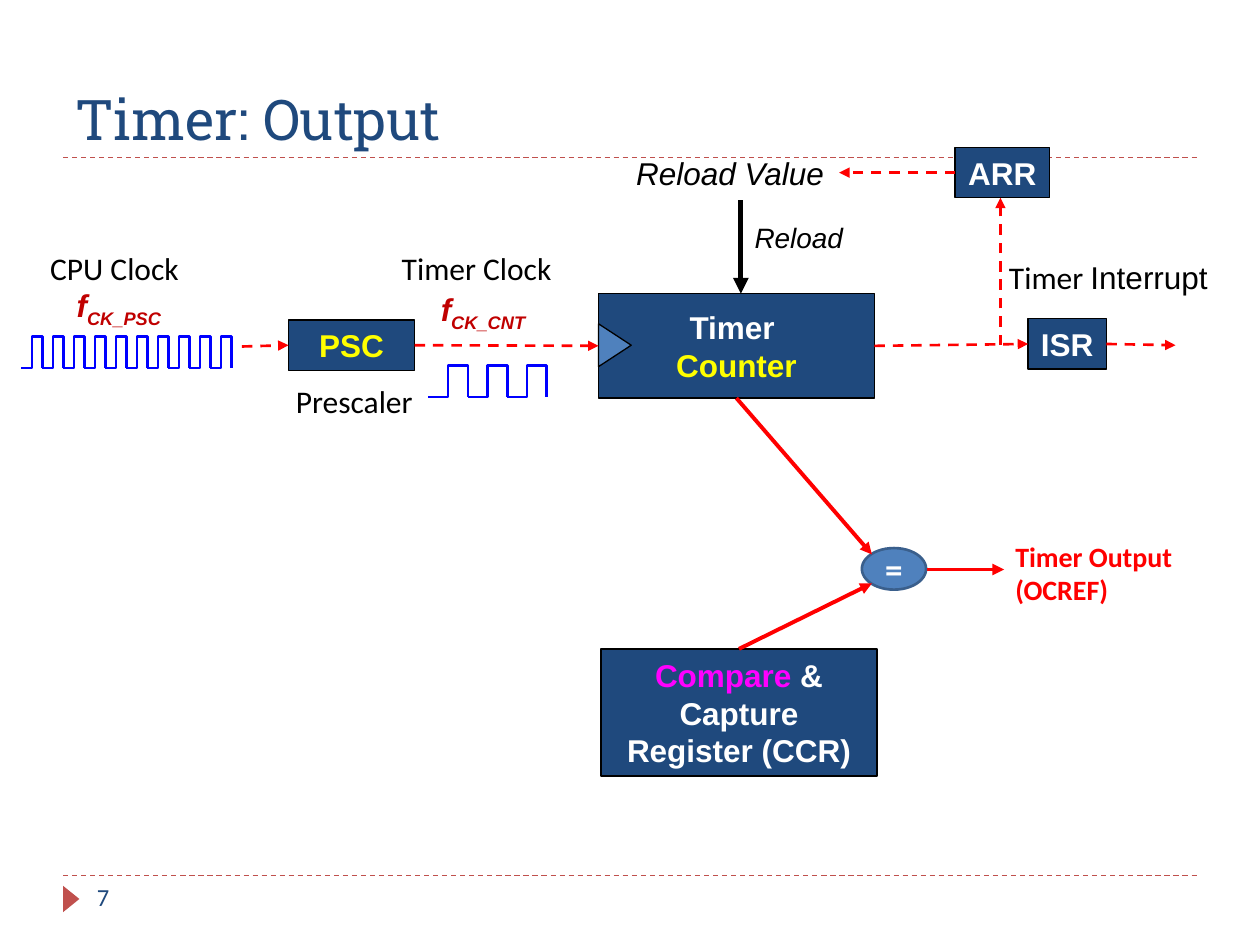
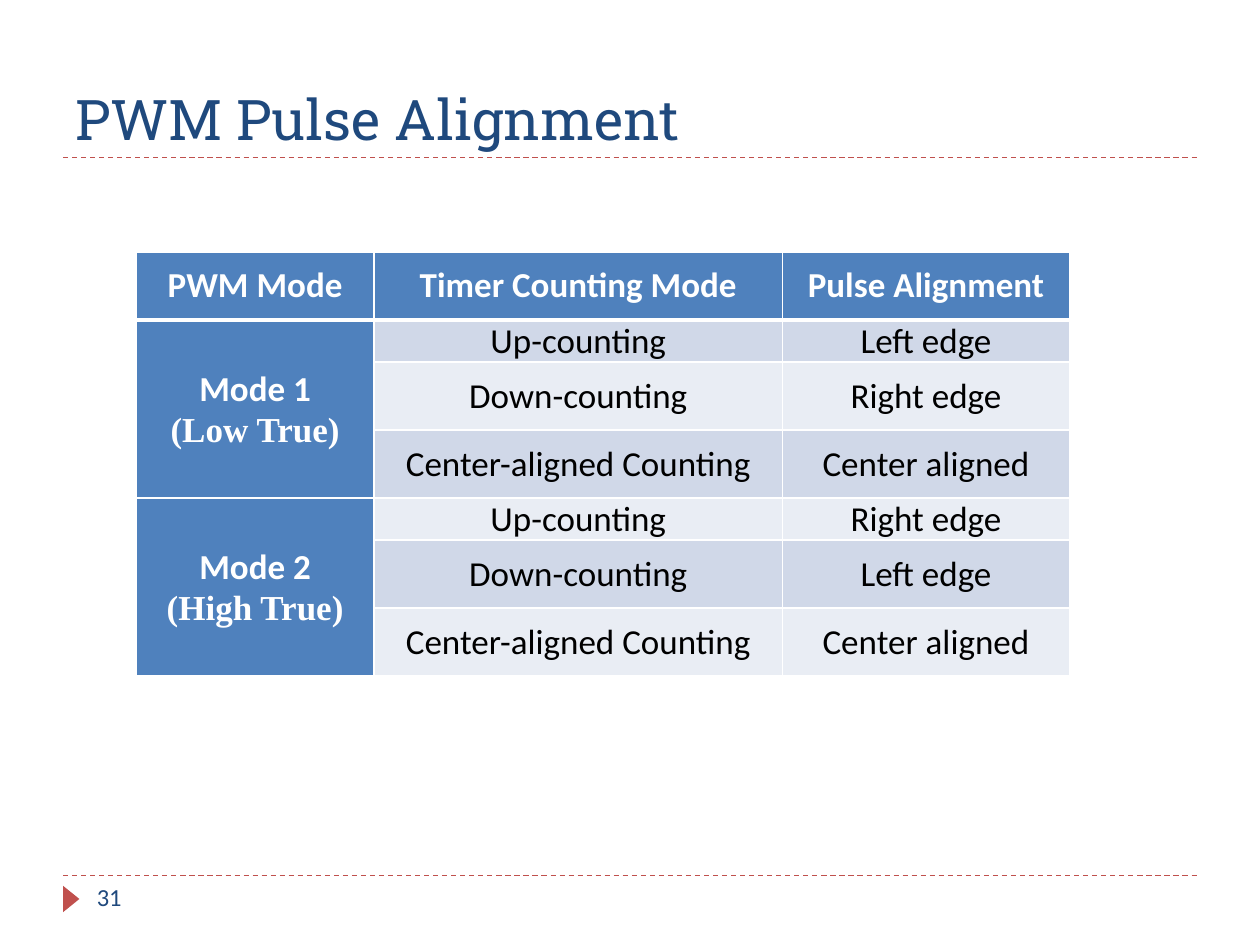
import pptx
import pptx.util
import pptx.dml.color
import pptx.enum.dml
import pptx.enum.shapes
import pptx.enum.text
import pptx.oxml
import pptx.oxml.ns
import lxml.etree
from dataclasses import dataclass

SHAPE = pptx.enum.shapes.MSO_SHAPE
ALIGN = pptx.enum.text.PP_ALIGN
ANCHOR = pptx.enum.text.MSO_ANCHOR
Pt = pptx.util.Pt
qn = pptx.oxml.ns.qn


@dataclass
class Theme:
    navy: str = "1F497D"
    blue: str = "4F81BD"
    edge: str = "3A5F8C"
    brick: str = "C0504D"
    wine: str = "C00000"
    red: str = "FF0000"
    wave: str = "0000FF"
    yellow: str = "FFFF00"
    pink: str = "FF00FF"
    black: str = "000000"
    white: str = "FFFFFF"
    bands: tuple = ("D0D8E8", "E9EDF4")
    head: str = "Roboto Slab"
    body: str = "Calibri"
    sans: str = "Arial"
    serif: str = "Times New Roman"
    title: int = 32
    cell: int = 20
    text: int = 18
    small: int = 16
    page: int = 14


T = Theme()

# Type styles: font, size, colour, bold, italic
TITLE = (T.head, T.title, T.navy, False, False)
PAGE = (T.body, T.page, T.navy, False, False)
PLAIN = (T.body, T.text, T.black, False, False)
SLANT = (T.sans, T.text, T.black, False, True)
NOTE = (T.sans, T.small, T.black, False, True)
FREQ = (T.sans, T.text, T.wine, True, True)
BLOCK = (T.sans, T.text, T.white, True, False)
SIGN = (T.body, T.cell, T.white, True, False)
OUT = (T.body, T.small, T.red, True, False)
HEAD = (T.body, T.cell, T.white, True, False)
SERIF = (T.serif, T.cell, T.white, True, False)
CELL = (T.body, T.cell, T.black, False, False)

# Grid: ten columns across, seven and a half rows down
COLS, ROWS = 10, 7.5
UNIT = pptx.util.Inches(1)

# Slide content: a paragraph is a list of (text, run changes)
TIMER = "Timer: Output"
BLOCKS = {
    "psc": ((2.29, 2.54, 1, 0.4), [[("PSC", {"color": T.yellow})]]),
    "counter": ((4.75, 2.33, 2.19, 0.83),
                [[("Timer ", {})], [("Counter", {"color": T.yellow})]]),
    "arr": ((7.58, 1.17, 0.75, 0.4), [[("ARR", {})]]),
    "isr": ((8.16, 2.53, 0.62, 0.4), [[("ISR", {})]]),
    "ccr": ((4.77, 5.15, 2.19, 1.01),
            [[("Compare", {"color": T.pink}), (" & Capture Register (CCR)", {})]]),
}
EQUAL = (6.84, 4.35, 0.51, 0.33)
NOTCH = (4.71, 2.61, 0.34, 0.26)
LABELS = [
    ((4.95, 1.17, 1.71, 0.4), SLANT, [[("Reload Value", {})]]),
    ((5.89, 1.7, 1.05, 0.37), NOTE, [[("Reload", {})]]),
    ((0.3, 1.93, 1.36, 0.4), PLAIN, [[("CPU Clock", {})]]),
    ((3.09, 1.93, 1.5, 0.4), PLAIN, [[("Timer Clock", {})]]),
    ((2.25, 2.98, 1.14, 0.4), PLAIN, [[("Prescaler", {})]]),
    ((7.91, 2, 1.84, 0.4), PLAIN, [[("Timer ", {}), ("Interrupt", {"font": T.sans})]]),
    ((0.51, 2.22, 0.97, 0.4), FREQ, [[("f", {}), ("CK_PSC", {"sub": True})]]),
    ((3.4, 2.25, 0.97, 0.4), FREQ, [[("f", {}), ("CK_CNT", {"sub": True})]]),
    ((7.96, 4.23, 1.78, 0.64), OUT, [[("Timer Output", {})], [("(OCREF)", {})]]),
]
# Arrow ends are grid points or the middle of a block's side
SIGNAL = (T.red, 1.5, True)
MATCH = (T.red, 2.25, False)
ARROWS = [
    ((1.92, 2.75), "psc left", SIGNAL),
    ("psc right", "counter left", SIGNAL),
    ("counter right", "isr left", SIGNAL),
    ("isr right", (9.33, 2.74), SIGNAL),
    ((7.94, 2.74), (7.94, 1.57), SIGNAL),
    ("arr left", (6.66, 1.37), SIGNAL),
    ((5.88, 1.59), (5.88, 2.33), (T.black, 3, False)),
    ("ccr top", (6.92, 4.63), MATCH),
    ("counter base", (6.92, 4.4), MATCH),
    ((7.36, 4.52), (7.97, 4.52), MATCH),
]
# Pulse trains: left, top, period, height, count
WAVES = [(0.17, 2.67, 1 / 6, 0.25, 10), (3.4, 2.9, 0.94 / 3, 0.25, 3)]

ALIGNED = "PWM Pulse Alignment"
HEADS = ["PWM Mode", "Timer Counting Mode", "Pulse Alignment"]
MODES = [
    ("Mode 1", "(Low True)", ["Left edge", "Right edge", "Center aligned"]),
    ("Mode 2", "(High True)", ["Right edge", "Left edge", "Center aligned"]),
]
COUNTS = ["Up-counting", "Down-counting", "Center-aligned Counting"]
WIDTHS = [1.89, 3.24, 2.28]
HIGH, LOW = 0.54, 0.27


def emu(*nums):
    return [round(n * UNIT) for n in nums]


def rgb(code):
    return pptx.dml.color.RGBColor.from_string(code)


def write(frame, paras, style, align=ALIGN.LEFT):
    face, size, color, bold, slant = style
    for i, runs in enumerate(paras):
        para = frame.paragraphs[0] if i == 0 else frame.add_paragraph()
        para.alignment = align
        font = para.font
        font.name, font.size = face, Pt(size)
        font.bold, font.italic = bold, slant
        if not any("color" in change for _, change in runs):
            font.color.rgb = rgb(color)
        mixed = any("color" in change for _, change in runs)
        for text, change in runs:
            run = para.add_run()
            run.text = text
            if mixed:
                run.font.color.rgb = rgb(change.get("color", color))
            if "font" in change:
                run.font.name = change["font"]
            if "sub" in change:
                run._r.get_or_add_rPr().set("baseline", "-25000")


def label(slide, box, paras, style, wrap=True, anchor=ANCHOR.TOP):
    frame = slide.shapes.add_textbox(*emu(*box)).text_frame
    frame.word_wrap, frame.vertical_anchor = wrap, anchor
    write(frame, paras, style)


def solid(slide, kind, box, fill, line=None, width=0.75, turn=0):
    shape = slide.shapes.add_shape(kind, *emu(*box))
    shape.shadow.inherit = False
    shape.rotation = turn
    shape.fill.solid()
    shape.fill.fore_color.rgb = rgb(fill)
    if line:
        shape.line.color.rgb = rgb(line)
        shape.line.width = Pt(width)
    else:
        shape.line.fill.background()
    return shape


def link(slide, start, end, color, width, dash, head=False):
    kind = pptx.enum.shapes.MSO_CONNECTOR.STRAIGHT
    line = slide.shapes.add_connector(kind, *emu(*start, *end))
    line.line.color.rgb = rgb(color)
    line.line.width = Pt(width)
    if dash:
        line.line.dash_style = pptx.enum.dml.MSO_LINE.DASH
    props = line._element.spPr
    if head:
        lxml.etree.SubElement(props.find(qn("a:ln")), qn("a:tailEnd"), type="triangle")
    lxml.etree.SubElement(props, qn("a:effectLst"))


def spot(end):
    """Turn a block side into a grid point."""
    if not isinstance(end, str):
        return end
    name, side = end.split()
    x, y, w, h = BLOCKS[name][0]
    return {"left": (x, y + h / 2), "right": (x + w, y + h / 2),
            "top": (x + w / 2, y), "base": (x + w / 2, y + h)}[side]


def pulses(slide, left, top, step, high, count):
    group = slide.shapes.add_group_shape()
    base = top + high
    for i in range(count):
        x = left + i * step
        mid, end = x + step / 2, x + step
        path = group.shapes.build_freeform(*emu(x, base))
        path.add_line_segments(
            [emu(*p) for p in ((mid, base), (mid, top), (end, top), (end, base))],
            close=False)
        shape = path.convert_to_shape()
        shape.shadow.inherit = False
        shape.fill.background()
        shape.line.color.rgb = rgb(T.wave)
        shape.line.width = Pt(1.5)


def start(deck, title, page):
    """Add a slide with its title, rules and page mark."""
    slide = deck.slides.add_slide(deck.slide_layouts[6])
    for y in (6.95, 1.25):
        link(slide, (0.5, y), (COLS - 0.5, y), T.brick, 0.75, True)
    solid(slide, SHAPE.ISOSCELES_TRIANGLE, (0.46, 7.07, 0.21, 0.13), T.brick, turn=90)
    label(slide, (0.5, 0.17, 9, 1.08), [[(title, {})]], TITLE, anchor=ANCHOR.BOTTOM)
    label(slide, (0.67, 6.95, 2.17, 0.4), [[(str(page), {})]], PAGE)
    return slide


def diagram(slide):
    for name, (box, paras) in BLOCKS.items():
        frame = solid(slide, SHAPE.RECTANGLE, box, T.navy, T.black).text_frame
        frame.word_wrap = name == "ccr"
        frame.vertical_anchor = ANCHOR.MIDDLE
        write(frame, paras, BLOCK, ALIGN.CENTER)
    solid(slide, SHAPE.ISOSCELES_TRIANGLE, NOTCH, T.blue, T.black, turn=90)
    equal = solid(slide, SHAPE.OVAL, EQUAL, T.blue, T.edge, 1.5).text_frame
    equal.vertical_anchor = ANCHOR.MIDDLE
    write(equal, [[("=", {})]], SIGN, ALIGN.CENTER)
    for wave in WAVES:
        pulses(slide, *wave)
    for tail, tip, look in ARROWS:
        link(slide, spot(tail), spot(tip), *look, head=True)
    for box, style, paras in LABELS:
        label(slide, box, paras, style, wrap=style in (NOTE, OUT))


def paint(cell, fill, lines=(), base=1):
    """Fill a cell, border it in white and centre its (text, style) lines."""
    cell.margin_left = cell.margin_right = emu(0.08)[0]
    cell.margin_top = cell.margin_bottom = 0
    cell.vertical_anchor = ANCHOR.MIDDLE
    props = cell._tc.get_or_add_tcPr()
    for side in "LRTB":
        width = Pt(base if side == "B" else 1)
        edge = lxml.etree.SubElement(props, qn("a:ln" + side), w=str(width))
        ink = lxml.etree.SubElement(edge, qn("a:solidFill"))
        lxml.etree.SubElement(ink, qn("a:srgbClr"), val=T.white)
    cell.fill.solid()
    cell.fill.fore_color.rgb = rgb(fill)
    frame = cell.text_frame
    for i, (text, style) in enumerate(lines):
        para = frame.paragraphs[0] if i == 0 else frame.add_paragraph()
        para.alignment = ALIGN.CENTER
        font = para.font
        font.name, font.size, color, font.bold, font.italic = (
            style[0], Pt(style[1]), style[2], style[3], style[4])
        font.color.rgb = rgb(color)
        para.add_run().text = text


def grid(slide):
    span = len(COUNTS)
    highs = [HIGH] + [LOW, HIGH, HIGH] * len(MODES)
    box = emu(1.08, 2, sum(WIDTHS), sum(highs))
    table = slide.shapes.add_table(len(highs), len(WIDTHS), *box).table
    for col, width in zip(table.columns, emu(*WIDTHS)):
        col.width = width
    for row, high in zip(table.rows, emu(*highs)):
        row.height = high
    for c, head in enumerate(HEADS):
        paint(table.cell(0, c), T.blue, [(head, HEAD)], base=3)
    for m, (mode, level, edges) in enumerate(MODES):
        top = 1 + m * span
        for i, pair in enumerate(zip(COUNTS, edges)):
            r = top + i
            paint(table.cell(r, 0), T.blue,
                  [(mode, HEAD), (level, SERIF)] if i == 0 else ())
            for c, text in enumerate(pair, 1):
                paint(table.cell(r, c), T.bands[(r - 1) % 2], [(text, CELL)])
        table.cell(top, 0).merge(table.cell(top + span - 1, 0))


def main():
    deck = pptx.Presentation()
    deck.slide_width, deck.slide_height = emu(COLS, ROWS)
    diagram(start(deck, TIMER, 7))
    grid(start(deck, ALIGNED, 31))
    deck.save("out.pptx")


if __name__ == "__main__":
    main()
